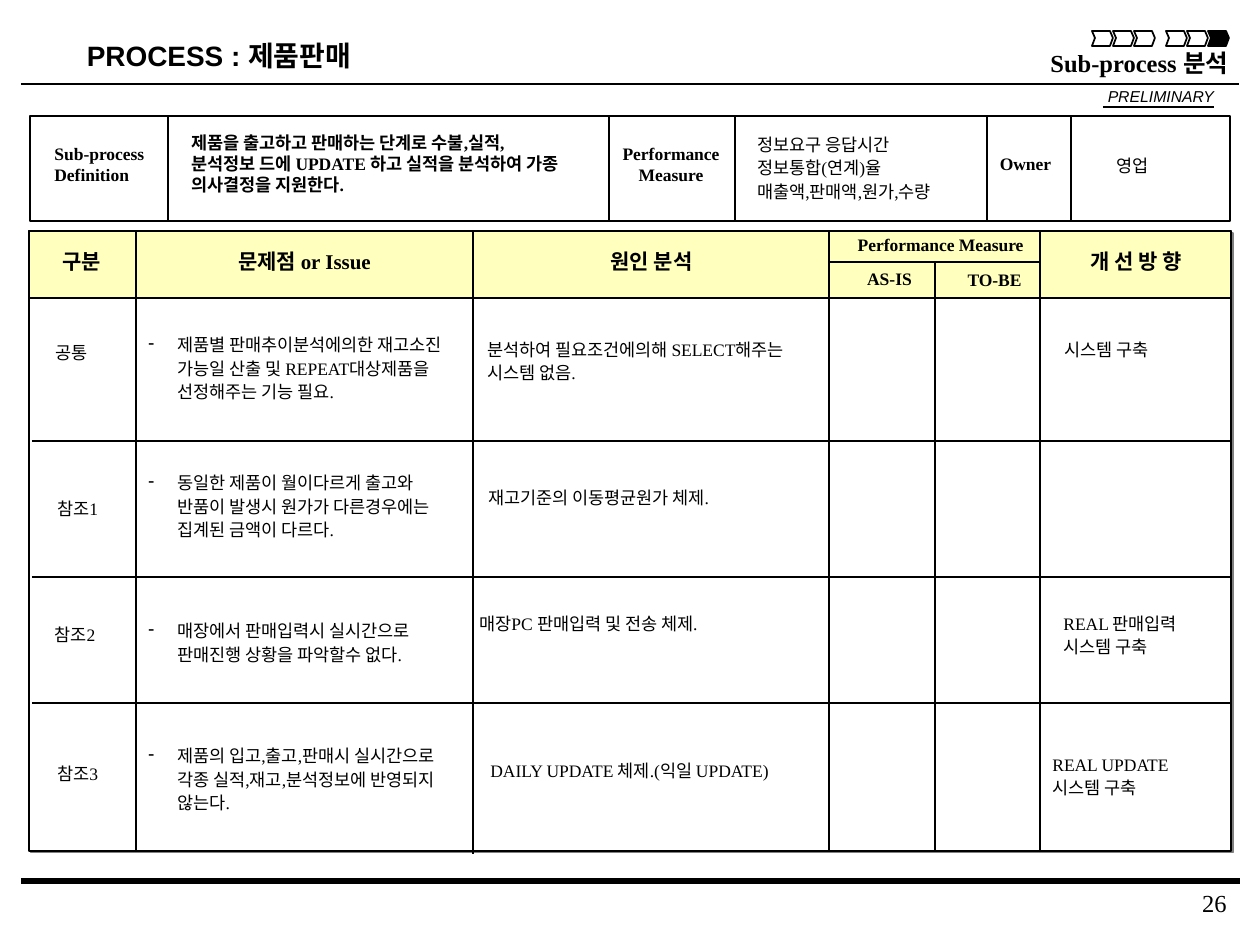
from dataclasses import dataclass

from lxml import etree
from pptx import Presentation
from pptx.dml.color import RGBColor
from pptx.enum.shapes import MSO_CONNECTOR, MSO_SHAPE
from pptx.enum.text import MSO_ANCHOR, MSO_AUTO_SIZE, PP_ALIGN
from pptx.oxml.ns import qn
from pptx.util import Emu, Pt

LEFT, CENTER, RIGHT = PP_ALIGN.LEFT, PP_ALIGN.CENTER, PP_ALIGN.RIGHT
TOP, MIDDLE = MSO_ANCHOR.TOP, MSO_ANCHOR.MIDDLE
STRAIGHT, RECTANGLE = MSO_CONNECTOR.STRAIGHT, MSO_SHAPE.RECTANGLE
EMU_PER_PX = 914400 / 126
COLORS = {"ink": "000000", "paper": "FFFFFF", "header": "FFFFBE", "shadow": "808080"}


@dataclass(frozen=True)
class Style:
    size: int = 10
    bold: bool = False
    italic: bool = False
    font: str = "Times New Roman"
    align: PP_ALIGN = LEFT
    anchor: MSO_ANCHOR = TOP
    wrap: bool = True
    grow: bool = True
    inset: bool = True
    line_spacing: float | None = None
    hanging: int = 0


@dataclass(frozen=True)
class Label:
    text: str
    left: int
    top: int
    width: int
    height: int
    style: Style


@dataclass(frozen=True)
class Rule:
    x1: int
    y1: int
    x2: int
    y2: int
    weight: float = 1


TITLE = Style(16, bold=True, font="Arial", align=CENTER, wrap=False)
SUBTITLE = Style(14, bold=True, wrap=False)
STAMP = Style(9, italic=True, font="Arial", align=RIGHT, anchor=MIDDLE, grow=False, inset=False)
PAGE_NUMBER = Style(14, align=RIGHT, grow=False)
FIELD = Style(bold=True, anchor=MIDDLE, wrap=False)
FIELD_CENTER = Style(bold=True, align=CENTER, anchor=MIDDLE, wrap=False)
DEFINITION = Style(bold=True)
HEADING = Style(12, bold=True, align=CENTER)
SUBHEADING = Style(bold=True, align=CENTER)
CATEGORY = Style(anchor=MIDDLE, wrap=False)
ISSUE = Style(anchor=MIDDLE, line_spacing=1.1, hanging=29)
NOTE = Style(wrap=False, line_spacing=1.1)
MEASURES = Style(line_spacing=1.1)

LABELS = [
    Label("Sub-process 분석", 1038, 42, 209, 42, SUBTITLE),
    Label("PROCESS : 제품판매", 67, 32, 304, 47, TITLE),
    Label("PRELIMINARY", 1103, 86, 111, 21, STAMP),
    Label("26", 1008, 882, 231, 32, PAGE_NUMBER),
    Label("Sub-process\nDefinition", 42, 136, 120, 55, FIELD),
    Label("제품을 출고하고 판매하는 단계로 수불,실적,분석정보 드에 UPDATE 하고 실적을 분석하여 "
          "가종 의사결정을 지원한다.", 179, 126, 399, 76, DEFINITION),
    Label("Performance\nMeasure", 610, 136, 122, 55, FIELD_CENTER),
    Label("정보요구 응답시간\n정보통합(연계)율\n매출액,판매액,원가,수량", 745, 126, 242, 82, MEASURES),
    Label("Owner", 987, 147, 77, 34, FIELD_CENTER),
    Label("영업", 1104, 147, 57, 37, NOTE),
    Label("구분", 21, 242, 121, 38, HEADING),
    Label("문제점 or Issue", 168, 242, 273, 38, HEADING),
    Label("원인 분석", 473, 242, 357, 38, HEADING),
    Label("개 선 방 향", 1040, 242, 192, 38, HEADING),
    Label("Performance Measure", 762, 228, 357, 34, SUBHEADING),
    Label("AS-IS", 795, 262, 189, 34, SUBHEADING),
    Label("TO-BE", 921, 263, 147, 34, SUBHEADING),
    Label("공통", 43, 336, 58, 34, CATEGORY),
    Label("제품별 판매추이분석에의한 재고소진 가능일 산출 및 REPEAT대상제품을 선정해주는 기능 필요.",
          136, 326, 341, 82, ISSUE),
    Label("분석하여 필요조건에의해 SELECT해주는\n시스템 없음.", 475, 331, 339, 59, NOTE),
    Label("시스템 구축", 1052, 331, 113, 37, NOTE),
    Label("참조1", 45, 491, 71, 34, CATEGORY),
    Label("동일한 제품이 월이다르게 출고와 반품이 발생시 원가가 다른경우에는 집계된 금액이 다르다.",
          136, 464, 341, 82, ISSUE),
    Label("재고기준의 이동평균원가 체제.", 476, 479, 260, 37, NOTE),
    Label("참조2", 42, 617, 71, 34, CATEGORY),
    Label("매장에서 판매입력시 실시간으로 판매진행 상황을 파악할수 없다.", 136, 612, 341, 59, ISSUE),
    Label("매장PC 판매입력 및 전송 체제.", 467, 605, 270, 37, NOTE),
    Label("REAL 판매입력\n시스템 구축", 1051, 605, 144, 59, NOTE),
    Label("참조3", 45, 756, 71, 34, CATEGORY),
    Label("제품의 입고,출고,판매시 실시간으로 각종 실적,재고,분석정보에 반영되지 않는다.",
          136, 737, 341, 82, ISSUE),
    Label("DAILY UPDATE 체제.(익일 UPDATE)", 478, 752, 331, 37, NOTE),
    Label("REAL UPDATE\n시스템 구축", 1040, 746, 144, 59, NOTE),
]

RULES = [
    Rule(21, 881, 1240, 881, 3.75),
    Rule(21, 84, 1239, 84),
    Rule(1103, 84, 1214, 84),
    Rule(1103, 107, 1214, 107),
    *[Rule(x, 116, x, 221) for x in (168, 609, 735, 987, 1071)],
    *[Rule(x, 231, x, 851) for x in (136, 829, 1040)],
    Rule(473, 231, 473, 854),
    Rule(935, 262, 935, 851),
    Rule(829, 262, 1040, 262),
    *[Rule(32, y, 1232, y) for y in (441, 577, 703)],
]


def px(length: int) -> Emu:
    return Emu(round(length * EMU_PER_PX))


def color(name: str) -> RGBColor:
    return RGBColor.from_string(COLORS[name])


def paint(shape, fill: str | None) -> None:
    shape.shadow.inherit = False
    if fill:
        shape.fill.solid()
        shape.fill.fore_color.rgb = color(fill)
    else:
        shape.fill.background()
    shape.line.color.rgb = color("ink")
    shape.line.width = Pt(1)


def draw_box(slide, left: int, top: int, width: int, height: int, fill: str | None):
    shape = slide.shapes.add_shape(RECTANGLE, px(left), px(top), px(width), px(height))
    paint(shape, fill)
    return shape


def add_drop_shadow(shape) -> None:
    effects = shape._element.spPr.find(qn("a:effectLst"))
    shadow = etree.SubElement(effects, qn("a:outerShdw"), dist=str(Pt(1.4)), dir="2700000")
    etree.SubElement(shadow, qn("a:srgbClr"), val=COLORS["shadow"])


def draw_rule(slide, rule: Rule) -> None:
    connector = slide.shapes.add_connector(
        STRAIGHT, px(rule.x1), px(rule.y1), px(rule.x2), px(rule.y2))
    connector.line.color.rgb = color("ink")
    connector.line.width = Pt(rule.weight)
    etree.SubElement(connector._element.spPr, qn("a:effectLst"))


def draw_chevron(slide, left: int, top: int, fill: str | None) -> None:
    outline = [(18, 0), (21, 7), (18, 15), (0, 15), (3, 7)]
    builder = slide.shapes.build_freeform(px(left), px(top))
    builder.add_line_segments([(px(left + x), px(top + y)) for x, y in outline])
    paint(builder.convert_to_shape(), fill)


def add_dash(paragraph, hanging: int) -> None:
    properties = paragraph._p.get_or_add_pPr()
    properties.set("marL", str(px(hanging)))
    properties.set("indent", str(-px(hanging)))
    bullet_color = etree.SubElement(properties, qn("a:buClr"))
    etree.SubElement(bullet_color, qn("a:srgbClr"), val=COLORS["ink"])
    etree.SubElement(properties, qn("a:buChar"), char="-")


def draw_label(slide, label: Label) -> None:
    style = label.style
    shape = slide.shapes.add_textbox(
        px(label.left), px(label.top), px(label.width), px(label.height))
    frame = shape.text_frame
    frame.text = label.text
    frame.word_wrap = style.wrap
    frame.vertical_anchor = style.anchor
    frame.auto_size = MSO_AUTO_SIZE.SHAPE_TO_FIT_TEXT if style.grow else MSO_AUTO_SIZE.NONE
    if not style.inset:
        frame.margin_left = frame.margin_right = frame.margin_top = frame.margin_bottom = 0
    for paragraph in frame.paragraphs:
        if style.hanging:
            add_dash(paragraph, style.hanging)
        paragraph.alignment = style.align
        if style.line_spacing:
            paragraph.line_spacing = style.line_spacing
        font = paragraph.font
        font.name, font.size = style.font, Pt(style.size)
        font.bold, font.italic = style.bold, style.italic
        font.color.rgb = color("ink")


def main() -> None:
    presentation = Presentation()
    presentation.slide_width, presentation.slide_height = px(1260), px(945)
    slide = presentation.slides.add_slide(presentation.slide_layouts[6])
    draw_box(slide, 30, 116, 1200, 105, None)
    add_drop_shadow(draw_box(slide, 29, 231, 1202, 620, "paper"))
    draw_box(slide, 29, 231, 1202, 67, "header")
    for rule in RULES:
        draw_rule(slide, rule)
    for group_left in (1092, 1166):
        for step in range(3):
            is_current = group_left == 1166 and step == 2
            draw_chevron(slide, group_left + 21 * step, 31, "ink" if is_current else None)
    for label in LABELS:
        draw_label(slide, label)
    presentation.save("out.pptx")


if __name__ == "__main__":
    main()
